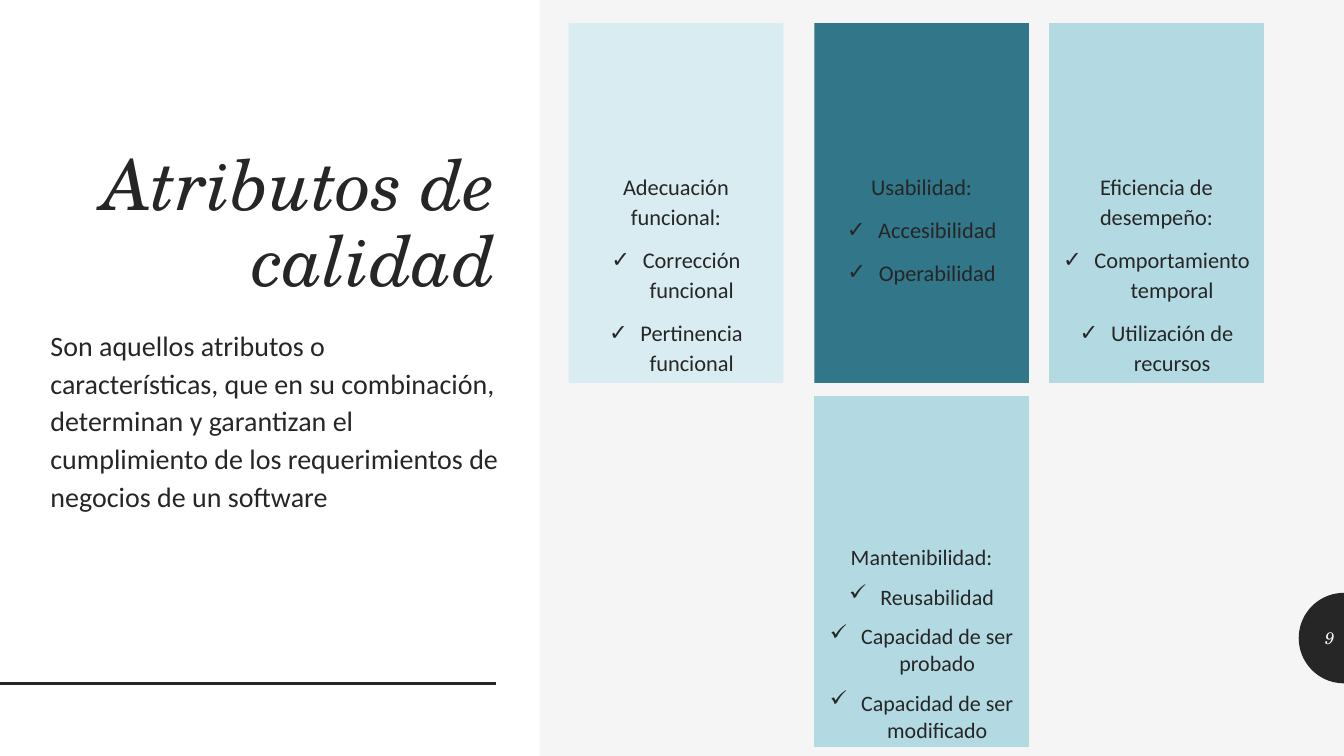
from dataclasses import dataclass
from math import cos, pi, sin

from lxml import etree
from pptx import Presentation
from pptx.dml.color import RGBColor
from pptx.enum.shapes import MSO_CONNECTOR, MSO_SHAPE
from pptx.enum.text import MSO_ANCHOR, MSO_AUTO_SIZE, PP_ALIGN
from pptx.oxml.ns import qn
from pptx.util import Cm, Pt

RECTANGLE = MSO_SHAPE.RECTANGLE
STRAIGHT = MSO_CONNECTOR.STRAIGHT
TOP, MIDDLE, BOTTOM = MSO_ANCHOR.TOP, MSO_ANCHOR.MIDDLE, MSO_ANCHOR.BOTTOM
LEFT, CENTER, RIGHT = PP_ALIGN.LEFT, PP_ALIGN.CENTER, PP_ALIGN.RIGHT
FIXED_SIZE = MSO_AUTO_SIZE.NONE

WIDTH, HEIGHT = 33.87, 19.05
INK, PAPER, WHITE, PALE_BLUE = "262626", "F5F5F5", "FFFFFF", "B3D9E3"
SERIF, SANS = "TeX Gyre Schola", "Calibri"
CARD_WIDTH = 5.41
CARD_INSETS = (0.2, 3.71, 0.2, 0)
TEXT_INSETS = (0.25, 0.13, 0.25, 0.13)
BADGE_RADIUS, BADGE_MIDDLE, BADGE_STEPS = 1.14, 16.08, 36


@dataclass(frozen=True)
class Area:
    left: float
    top: float
    width: float
    height: float


@dataclass(frozen=True)
class Style:
    font: str
    size: float
    align: PP_ALIGN
    anchor: MSO_ANCHOR = TOP
    color: str = INK
    italic: bool = False
    line_spacing: float = 1.0
    space_before: float = 0
    insets: tuple = TEXT_INSETS


@dataclass(frozen=True)
class Card:
    area: Area
    fill: str
    style: Style
    heading: str
    points: tuple


TITLE = Style(SERIF, 50, RIGHT, BOTTOM, italic=True, line_spacing=0.9)
DEFINITION = Style(SANS, 20, LEFT, line_spacing=1.12, space_before=9)
UPPER_CARD = Style(SANS, 16, CENTER, line_spacing=1.12, space_before=9, insets=CARD_INSETS)
LOWER_CARD = Style(SANS, 15.7, CENTER, line_spacing=1.02, space_before=9, insets=CARD_INSETS)
PAGE_NUMBER = Style(SERIF, 12, RIGHT, MIDDLE, PAPER, italic=True)

UPPER_CARDS = (
    Card(Area(14.33, 0.58, CARD_WIDTH, 9.07), "D9ECF1", UPPER_CARD,
         "Adecuación funcional:", ("Corrección funcional", "Pertinencia funcional")),
    Card(Area(20.52, 0.58, CARD_WIDTH, 9.07), "327689", UPPER_CARD,
         "Usabilidad:", ("Accesibilidad", "Operabilidad")),
    Card(Area(26.44, 0.58, CARD_WIDTH, 9.07), PALE_BLUE, UPPER_CARD,
         "Eficiencia de desempeño:", ("Comportamiento temporal", "Utilización de recursos")),
)
MAINTAINABILITY = Card(
    Area(20.52, 9.98, CARD_WIDTH, 8.84), PALE_BLUE, LOWER_CARD, "Mantenibilidad:",
    ("Reusabilidad", "Capacidad de ser probado", "Capacidad de ser modificado"))


def color(value: str) -> RGBColor:
    return RGBColor.from_string(value)


def apply(target, values: dict) -> None:
    for name, value in values.items():
        setattr(target, name, value)


def lengths(area: Area) -> tuple:
    return Cm(area.left), Cm(area.top), Cm(area.width), Cm(area.height)


def paint(shape, fill: str) -> None:
    shape.fill.solid()
    shape.fill.fore_color.rgb = color(fill)


def flatten(shape, fill: str) -> None:
    paint(shape, fill)
    shape.line.fill.background()
    shape.shadow.inherit = False


def place(holder, area: Area) -> None:
    apply(holder, dict(zip(("left", "top", "width", "height"), lengths(area))))
    holder._element.getparent().append(holder._element)


def mark_bullet(para, checked: bool) -> None:
    properties = para._p.get_or_add_pPr()
    indent = Cm(0.79) if checked else 0
    properties.set("marL", str(indent))
    properties.set("indent", str(-indent))
    if checked:
        etree.SubElement(properties, qn("a:buChar")).set("char", "✓")
    else:
        etree.SubElement(properties, qn("a:buNone"))


def write(box, style: Style, heading: str, points: tuple = ()) -> None:
    frame = box.text_frame
    left, top, right, bottom = (Cm(inset) for inset in style.insets)
    apply(frame, {"word_wrap": True, "auto_size": FIXED_SIZE, "vertical_anchor": style.anchor,
                  "margin_left": left, "margin_top": top,
                  "margin_right": right, "margin_bottom": bottom})
    for index, text in enumerate((heading, *points)):
        para = frame.add_paragraph() if index else frame.paragraphs[0]
        apply(para, {"alignment": style.align, "line_spacing": style.line_spacing,
                     "space_before": Pt(style.space_before), "space_after": Pt(0)})
        mark_bullet(para, index > 0)
        span = para.add_run()
        span.text = text
        apply(span.font, {"name": style.font, "size": Pt(style.size),
                          "bold": False, "italic": style.italic})
        span.font.color.rgb = color(style.color)


def draw_badge(page) -> None:
    angles = [pi / 2 + pi * step / BADGE_STEPS for step in range(BADGE_STEPS + 1)]
    outline = [(Cm(WIDTH + BADGE_RADIUS * cos(angle)), Cm(BADGE_MIDDLE + BADGE_RADIUS * sin(angle)))
               for angle in angles]
    builder = page.shapes.build_freeform(*outline[0])
    builder.add_line_segments(outline[1:], close=True)
    flatten(builder.convert_to_shape(), INK)


def draw_rule(page) -> None:
    rule = page.shapes.add_connector(STRAIGHT, 0, Cm(17.22), Cm(12.5), Cm(17.22))
    rule.line.color.rgb = color(INK)
    rule.line.width = Pt(2)
    etree.SubElement(rule._element.spPr, qn("a:effectLst"))


def main() -> None:
    deck = Presentation()
    apply(deck, {"slide_width": Cm(WIDTH), "slide_height": Cm(HEIGHT)})
    page = deck.slides.add_slide(deck.slide_layouts.get_by_name("Comparison"))
    paint(page.background, PAPER)
    title, definition, *card_holders = page.placeholders

    draw_badge(page)
    panel = page.shapes.add_shape(RECTANGLE, *lengths(Area(0, 0, 13.6, HEIGHT)))
    flatten(panel, WHITE)
    draw_rule(page)

    place(title, Area(2.11, 1.55, 10.64, 6.17))
    write(title, TITLE, "Atributos de calidad")
    place(definition, Area(1.02, 8.05, 11.79, 7.92))
    write(definition, DEFINITION,
          "Son aquellos atributos o características, que en su combinación, determinan y "
          "garantizan el cumplimiento de los requerimientos de negocios de un software")

    for holder, card in zip(card_holders, UPPER_CARDS):
        place(holder, card.area)
        paint(holder, card.fill)
        write(holder, card.style, card.heading, card.points)

    number = page.shapes.add_textbox(*lengths(Area(32.74, 15.57, 1.14, 1.02)))
    write(number, PAGE_NUMBER, "9")

    lower = page.shapes.add_shape(RECTANGLE, *lengths(MAINTAINABILITY.area))
    flatten(lower, MAINTAINABILITY.fill)
    write(lower, MAINTAINABILITY.style, MAINTAINABILITY.heading, MAINTAINABILITY.points)

    deck.save("out.pptx")


if __name__ == "__main__":
    main()
